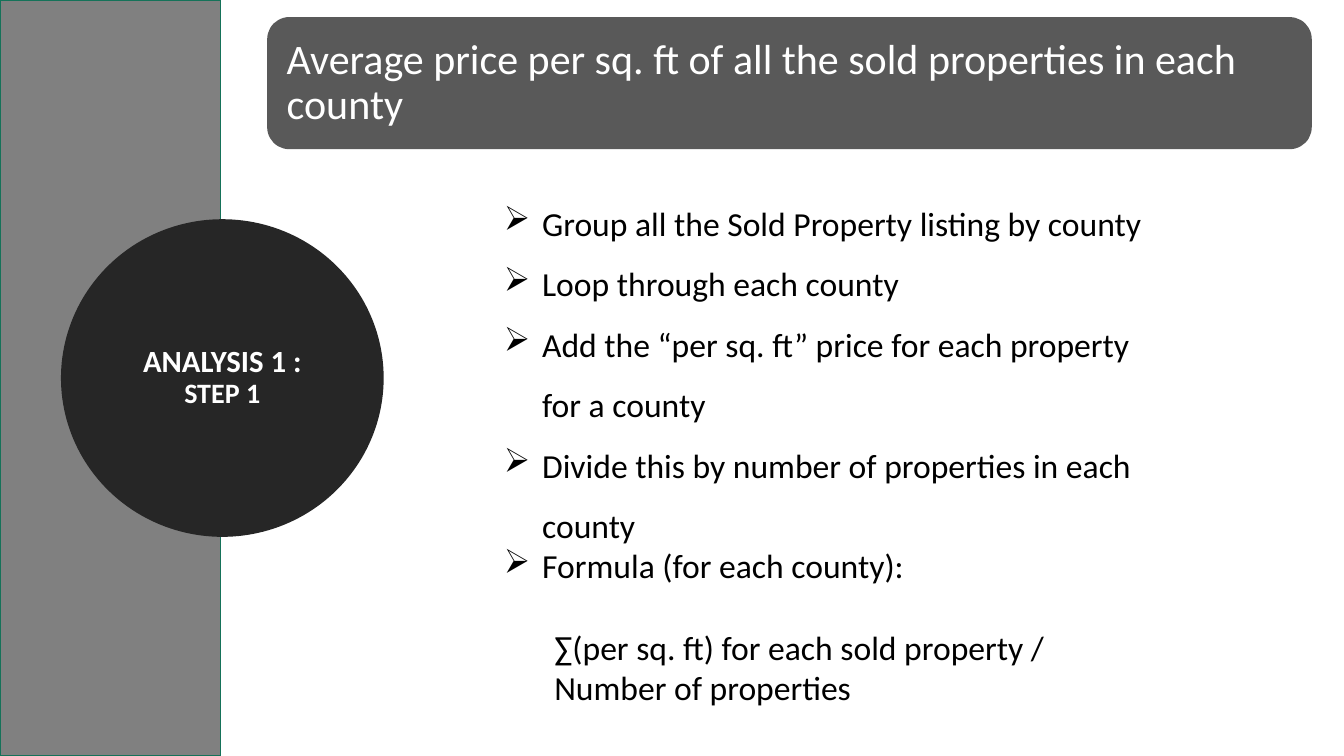
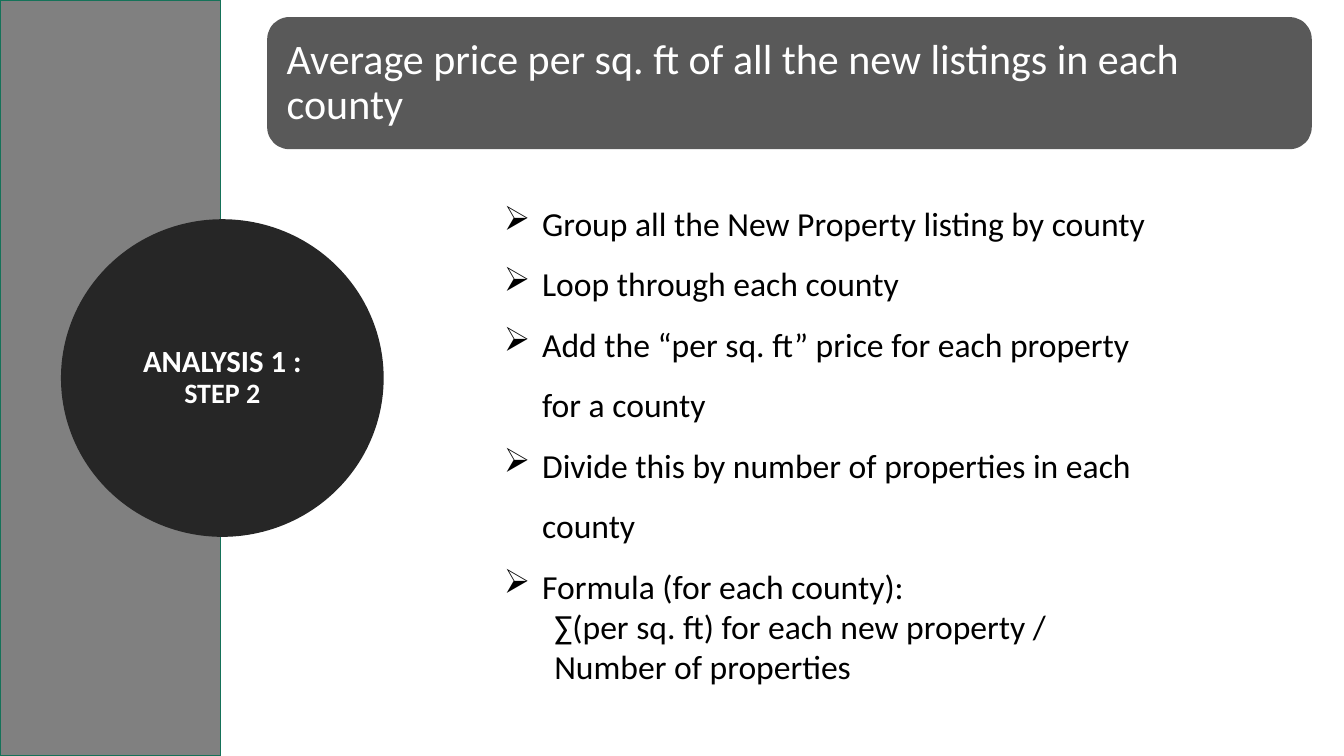
"""Build the two step slides of analysis 1: average price per square foot by county."""
import lxml.etree
import pptx
import pptx.dml.color
import pptx.enum.shapes
import pptx.enum.text
import pptx.oxml.ns
import pptx.util

C = {"band": "808080", "edge": "157259", "title": "595959",
     "circle": "262626", "light": "FFFFFF", "text": "000000"}
FONT = "Calibri"
BULLET = "➢"
SHAPE = pptx.enum.shapes.MSO_SHAPE
ANCHOR = pptx.enum.text.MSO_ANCHOR
ALIGN = pptx.enum.text.PP_ALIGN

prs = pptx.Presentation()
prs.slide_width = pptx.util.Inches(13.33)
prs.slide_height = pptx.util.Inches(7.5)


def add_box(s, kind, share, fill=None, line=None, width=0):
    """Add a shape, or a text box if kind is None, at percentages of the slide."""
    x, y, w, h = share
    at = [int(v * size / 100) for v, size in
          ((x, prs.slide_width), (y, prs.slide_height), (w, prs.slide_width), (h, prs.slide_height))]
    if kind is None:
        sp = s.shapes.add_textbox(*at)
    else:
        sp = s.shapes.add_shape(kind, *at)
        sp.shadow.inherit = False
        sp.fill.solid()
        sp.fill.fore_color.rgb = pptx.dml.color.RGBColor.from_string(C[fill])
        if line:
            sp.line.color.rgb = pptx.dml.color.RGBColor.from_string(C[line])
            sp.line.width = pptx.util.Pt(width)
        else:
            sp.line.fill.background()
    sp.text_frame.word_wrap = True
    return sp


def style(r, size, color, bold=False):
    """Set the font of a run."""
    r.font.name = FONT
    r.font.size = pptx.util.Pt(size)
    r.font.bold = bold
    r.font.color.rgb = pptx.dml.color.RGBColor.from_string(C[color])


steps = [
    ("STEP 1", "sold properties", "Sold Property", "sold property", 1, 29.3),
    ("STEP 2", "new listings", "New Property", "new property", 1.5, 0),
]

for step, subject, group, item, formula_spacing, formula_gap in steps:
    s = prs.slides.add_slide(prs.slide_layouts[6])

    sp = add_box(s, SHAPE.ROUNDED_RECTANGLE, (19.88, 2.27, 77.72, 17.47), "title")
    tf = sp.text_frame
    tf.margin_left = tf.margin_right = pptx.util.Inches(0.13)
    tf.vertical_anchor = ANCHOR.MIDDLE
    p = tf.paragraphs[0]
    p.text = f"Average price per sq. ft of all the {subject} in each county"
    p.alignment = ALIGN.LEFT
    p.line_spacing = 0.9
    style(p.runs[0], 30, "light")

    add_box(s, SHAPE.RECTANGLE, (0, 0, 16.43, 100), "band", "edge", 1)

    sp = add_box(s, SHAPE.OVAL, (5.25, 30.27, 22.58, 39.47), "circle", "circle", 13.75)
    tf = sp.text_frame
    tf.vertical_anchor = ANCHOR.MIDDLE
    p = tf.paragraphs[0]
    p.text = "ANALYSIS 1 : "
    p.add_run().text = step
    p.alignment = ALIGN.CENTER
    p.line_spacing = 0.9
    for r, size in zip(p.runs, (22, 20)):
        style(r, size, "light", True)

    bullets = [
        f"Group all the {group} listing by county",
        "Loop through each county",
        "Add the “per sq. ft” price for each property for a county",
        "Divide this by number of properties in each county",
        "Formula (for each county):",
    ]
    formula = f"∑(per sq. ft) for each {item} / Number of properties"
    tf = add_box(s, None, (36.75, 23.47, 50, 73)).text_frame
    tf.text = "\n".join(bullets + [formula])
    for p in tf.paragraphs:
        pPr = p._p.get_or_add_pPr()
        if p.text == formula:
            p.level = 1
            pPr.set("marL", str(pptx.util.Inches(0.5)))
            pPr.set("indent", "0")
            p.space_before = pptx.util.Pt(formula_gap)
        else:
            pPr.set("marL", str(pptx.util.Inches(0.38)))
            pPr.set("indent", str(pptx.util.Inches(-0.38)))
            lxml.etree.SubElement(pPr, pptx.oxml.ns.qn("a:buChar")).set("char", BULLET)
            p.line_spacing = formula_spacing if p.text == bullets[-1] else 1.5
        style(p.runs[0], 24, "text")

prs.save("out.pptx")
